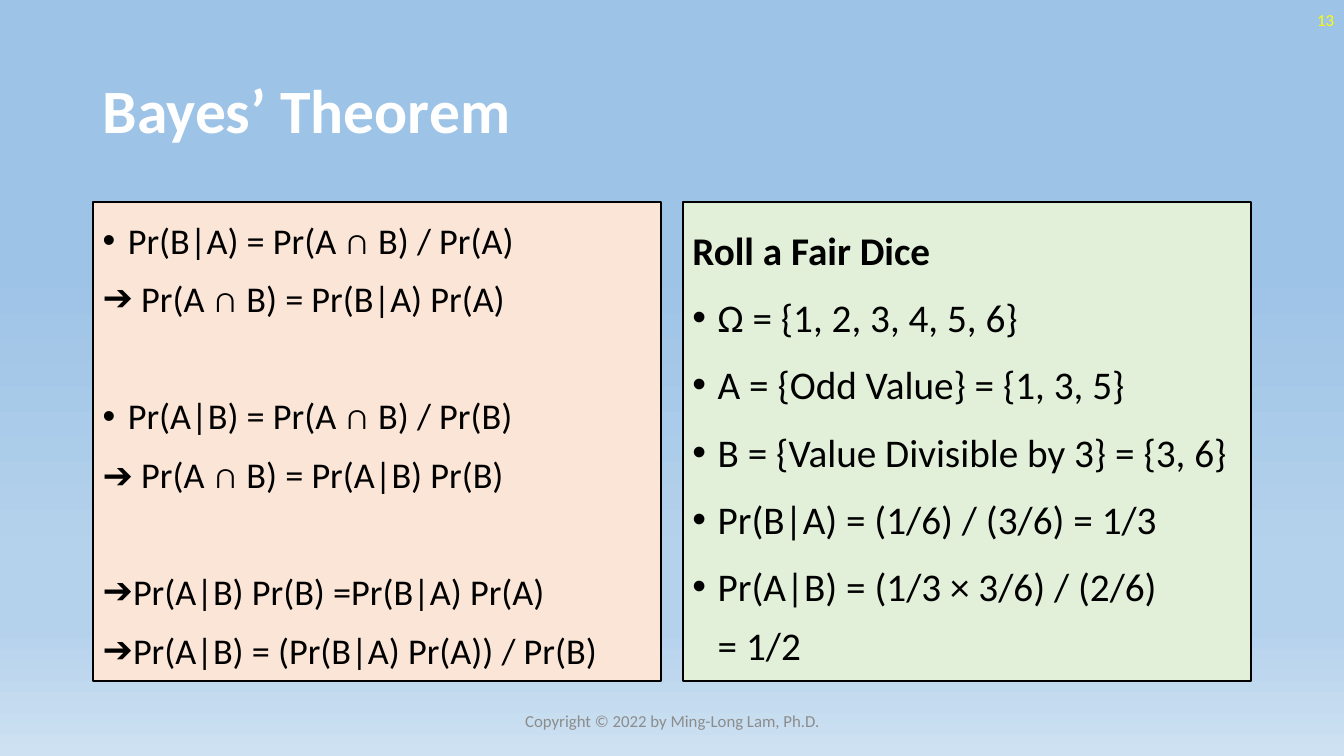
from pptx import Presentation
from pptx import util as u
from pptx.dml.color import RGBColor
from pptx.enum import shapes, text
from pptx.oxml.ns import qn
from lxml import etree

Inches, Pt = u.Inches, u.Pt
COLORS = {"white": "FFFFFF", "black": "000000", "peach": "FBE5D6",
          "green": "E2F0D9", "yellow": "FFFF00", "grey": "8C8C8C"}
SKY = [(35, "9DC3E6"), (74, "B5D2EC"), (83, "B5D2EC"), (100, "CEE1F2")]
INDENT = Inches(0.25)
GAP, WIDE_GAP = 6, 48

# Each line: bullet, text, space before
RULES = [("•", "Pr(B|A) = Pr(A ∩ B) / Pr(A)", 0),
         ("➔", " Pr(A ∩ B) = Pr(B|A) Pr(A)", GAP),
         ("•", "Pr(A|B) = Pr(A ∩ B) / Pr(B)", WIDE_GAP),
         (None, "➔ Pr(A ∩ B) = Pr(A|B) Pr(B)", GAP),
         ("➔", "Pr(A|B) Pr(B) =Pr(B|A) Pr(A)", WIDE_GAP),
         ("➔", "Pr(A|B) = (Pr(B|A) Pr(A)) / Pr(B)", GAP)]
DICE = ["Ω = {1, 2, 3, 4, 5, 6}",
        "A = {Odd Value} = {1, 3, 5}",
        "B = {Value Divisible by 3} = {3, 6}",
        "Pr(B|A) = (1/6) / (3/6) = 1/3",
        "Pr(A|B) = (1/3 × 3/6) / (2/6)\n= 1/2"]


def rgb(name):
    return RGBColor.from_string(COLORS[name])


def write(p, content, size, color="black", bold=False, bullet=None,
          align=text.PP_ALIGN.LEFT, spacing=1.0, before=0):
    """Fill one paragraph with formatted text."""
    p.text = content
    p.alignment, p.line_spacing, p.space_before = align, spacing, Pt(before)
    if bullet:
        pPr = p._p.get_or_add_pPr()
        pPr.set("marL", str(INDENT))
        pPr.set("indent", str(-INDENT))
        etree.SubElement(pPr, qn("a:buFont"), typeface="Arial")
        etree.SubElement(pPr, qn("a:buChar"), char=bullet)
    for r in p.runs:
        r.font.name, r.font.size, r.font.bold = "Calibri", Pt(size), bold
        r.font.color.rgb = rgb(color)


def prepare(tf):
    tf.word_wrap = True
    tf.vertical_anchor = text.MSO_ANCHOR.MIDDLE


def label(s, box, content, size, color, **fmt):
    tf = s.shapes.add_textbox(*map(Inches, box)).text_frame
    prepare(tf)
    write(tf.paragraphs[0], content, size, color, **fmt)


def panel(s, left, fill, lines, size, spacing):
    """Outlined box holding (bullet, text, space before) lines."""
    sp = s.shapes.add_shape(shapes.MSO_SHAPE.RECTANGLE, Inches(left),
                            Inches(2), Inches(5.64), Inches(4.76))
    sp.shadow.inherit = False
    sp.fill.solid()
    sp.fill.fore_color.rgb = rgb(fill)
    sp.line.color.rgb = rgb("black")
    sp.line.width = Pt(1.5)
    tf = sp.text_frame
    prepare(tf)
    for i, (bullet, content, before) in enumerate(lines):
        p = tf.add_paragraph() if i else tf.paragraphs[0]
        write(p, content, size, bold=content == "Roll a Fair Dice",
              bullet=bullet, spacing=spacing, before=before)


def background(s):
    fill = s.background.fill
    fill.gradient()
    grad = s.element.find(".//" + qn("a:gradFill"))
    stops = grad.find(qn("a:gsLst"))
    for old in list(stops):
        stops.remove(old)
    for pos, color in SKY:
        gs = etree.SubElement(stops, qn("a:gs"), pos=str(pos * 1000))
        etree.SubElement(gs, qn("a:srgbClr"), val=color)
    grad.find(qn("a:lin")).set("ang", "5400000")


def main():
    prs = Presentation()
    prs.slide_width, prs.slide_height = Inches(13.33), Inches(7.5)
    s = prs.slides.add_slide(prs.slide_layouts[6])
    background(s)

    # Title
    label(s, (0.92, 0.4, 11.5, 1.45), "Bayes’ Theorem", 44, "white",
          bold=True, spacing=0.9)

    # Theorem and worked example
    panel(s, 0.92, "peach", RULES, 25.9, 1.15)
    example = [(None, "Roll a Fair Dice", 0)]
    example += [("•", line, GAP) for line in DICE]
    panel(s, 6.77, "green", example, 28, 1.25)

    # Slide number and footer
    label(s, (10.33, 0, 3, 0.4), "13", 12, "yellow",
          align=text.PP_ALIGN.RIGHT)
    label(s, (4.42, 6.95, 4.5, 0.4),
          "Copyright © 2022 by Ming-Long Lam, Ph.D.", 12, "grey",
          align=text.PP_ALIGN.CENTER)
    prs.save("out.pptx")


if __name__ == "__main__":
    main()
